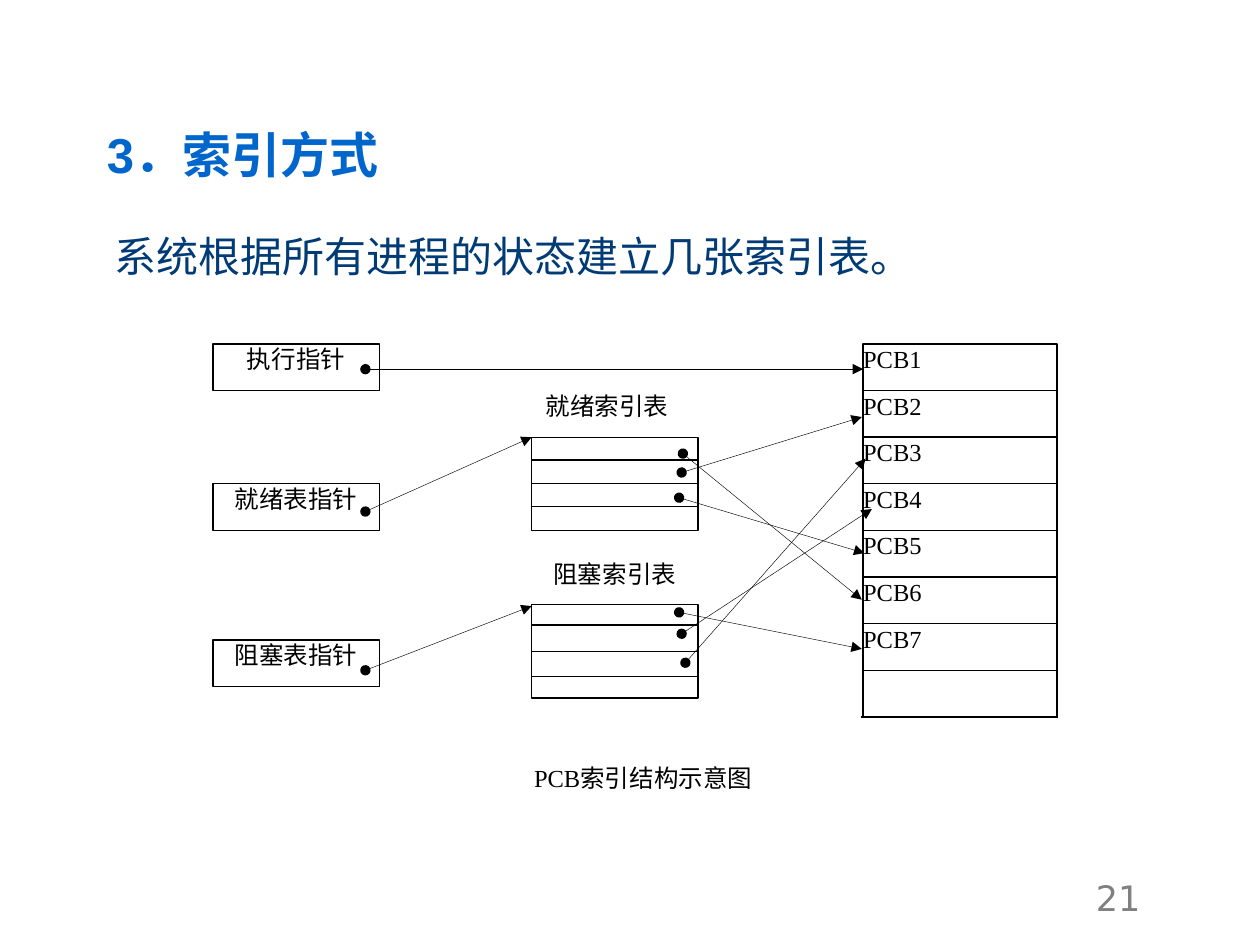
from lxml.etree import SubElement
from pptx import Presentation
from pptx.dml.color import RGBColor
from pptx.enum.shapes import MSO_CONNECTOR, MSO_SHAPE
from pptx.enum.text import MSO_ANCHOR, PP_ALIGN
from pptx.oxml.ns import qn
from pptx.util import Pt

PX = 9144
BLACK = RGBColor(0x00, 0x00, 0x00)
WHITE = RGBColor(0xFF, 0xFF, 0xFF)
BLUE = RGBColor(0x00, 0x66, 0xCC)
NAVY = RGBColor(0x00, 0x3B, 0x76)
GRAY = RGBColor(0x80, 0x80, 0x80)
ROW = 37

deck = Presentation()
deck.slide_width = 1000 * PX
deck.slide_height = 750 * PX
page = deck.slides.add_slide(deck.slide_layouts[6])


def add_box(left, top, width, height, text="", border=BLACK, align=PP_ALIGN.CENTER):
    box = page.shapes.add_shape(
        MSO_SHAPE.RECTANGLE, left * PX, top * PX, width * PX, height * PX
    )
    box.shadow.inherit = False
    box.fill.solid()
    box.fill.fore_color.rgb = WHITE
    box.line.color.rgb = border
    box.line.width = Pt(0.75)
    frame = box.text_frame
    frame.margin_left = frame.margin_right = frame.margin_top = frame.margin_bottom = 0
    frame.vertical_anchor = MSO_ANCHOR.TOP
    frame.word_wrap = True
    frame.text = text
    para = frame.paragraphs[0]
    para.alignment = align
    para.font.size = Pt(14)
    para.font.name = "Times New Roman"
    para.font.color.rgb = BLACK
    return box


def add_line(x1, y1, x2, y2, arrow=False):
    line = page.shapes.add_connector(
        MSO_CONNECTOR.STRAIGHT, x1 * PX, y1 * PX, x2 * PX, y2 * PX
    )
    line.line.color.rgb = BLACK
    line.line.width = Pt(0.25 if arrow else 0.75)
    if arrow:
        outline = line.line._get_or_add_ln()
        SubElement(outline, qn("a:headEnd"), type="oval")
        SubElement(outline, qn("a:tailEnd"), type="triangle")
    SubElement(line._element.spPr, qn("a:effectLst"))


texts = [
    ("3．索引方式", 75, 60, 850, 125, "Arial", 28, BLUE, True, MSO_ANCHOR.MIDDLE),
    ("系统根据所有进程的状态建立几张索引表。", 81, 178, 653, 50, "Arial", 24, NAVY, False, MSO_ANCHOR.TOP),
    ("21", 860, 691, 154, 51, "DejaVu Sans", 20, GRAY, False, MSO_ANCHOR.TOP),
]
for text, left, top, width, height, font, size, color, bold, anchor in texts:
    box = page.shapes.add_textbox(left * PX, top * PX, width * PX, height * PX)
    frame = box.text_frame
    frame.word_wrap = True
    frame.margin_right = 0
    frame.vertical_anchor = anchor
    frame.text = text
    span = frame.paragraphs[0].runs[0]
    span.font.name = font
    span.font.size = Pt(size)
    span.font.bold = bold
    span.font.color.rgb = color

add_box(422, 444, 132, ROW, "阻塞索引表", WHITE)
add_box(433, 310, 110, ROW, "就绪索引表", WHITE, PP_ALIGN.LEFT)

for top, text in [(273, "执行指针"), (384, "就绪表指针"), (508, "阻塞表指针")]:
    add_box(169, top, 132, ROW, text)

for top, dividers in [(347, (365, 384, 402)), (480, (496, 517, 537))]:
    add_box(422, top, 132, 2 * ROW)
    for y in dividers:
        add_line(422, y, 553, y)

for x in (685, 839):
    add_line(x, 273, x, 569)
add_line(683, 569, 840, 569)
for index in range(7):
    add_box(685, 273 + index * ROW, 154, ROW, f"PCB{index + 1}", align=PP_ALIGN.LEFT)

arrows = [
    (290, 293, 685, 293),
    (290, 406, 422, 347),
    (290, 532, 422, 481),
    (541, 375, 684, 331),
    (539, 395, 686, 439),
    (544, 526, 687, 364),
    (541, 503, 692, 404),
    (539, 486, 684, 515),
    (542, 360, 684, 476),
]
for ends in arrows:
    add_line(*ends, arrow=True)

caption = add_box(312, 606, 373, ROW, "PCB索引结构示意图", WHITE)
caption.line.width = Pt(0.25)
caption.text_frame.margin_left = 24 * PX

deck.save("out.pptx")
